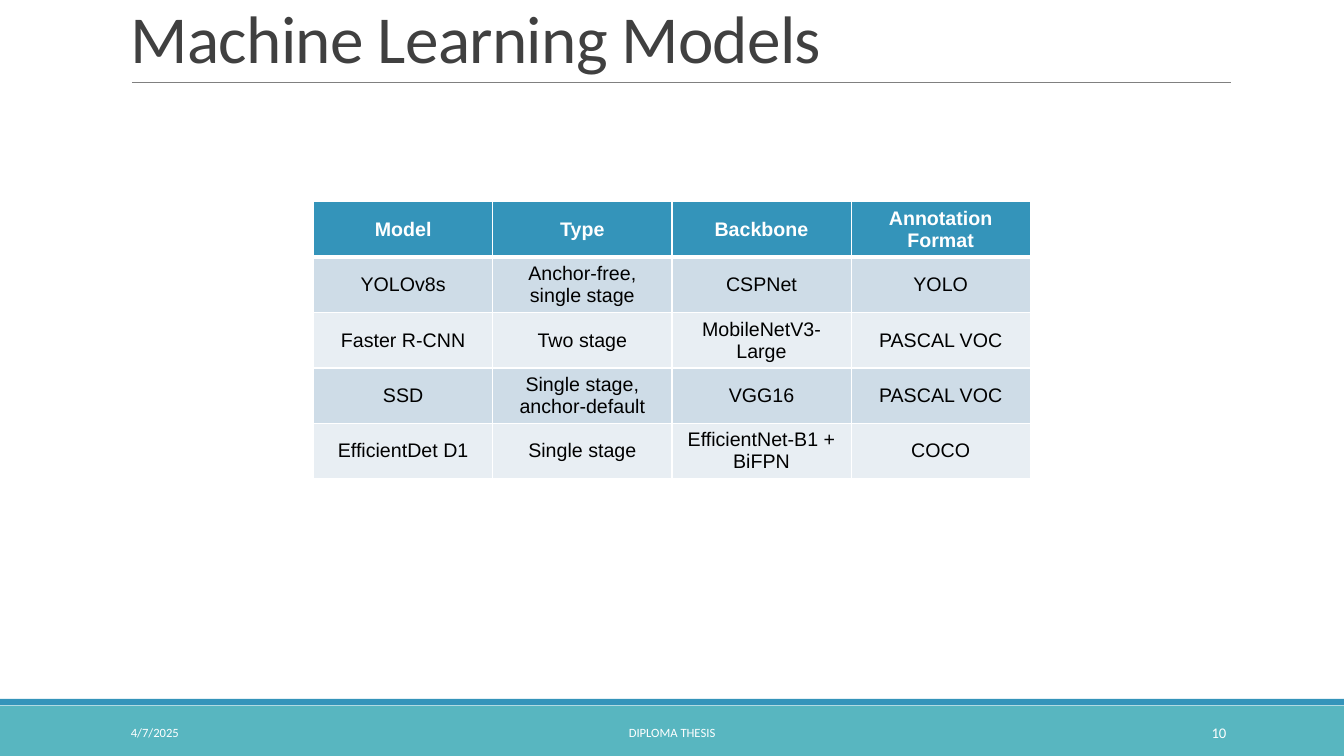
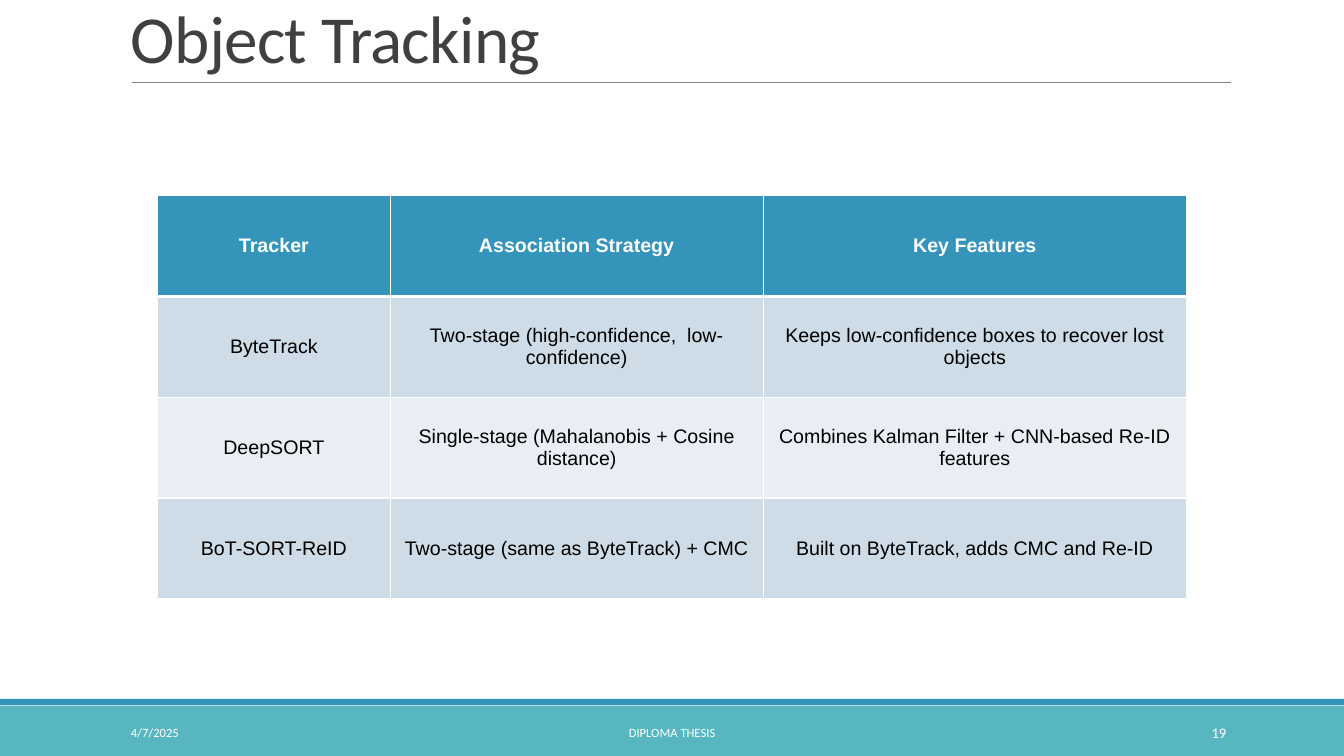
from dataclasses import dataclass

from lxml.etree import SubElement
from pptx import Presentation
from pptx.dml.color import RGBColor
from pptx.enum.shapes import MSO_CONNECTOR, MSO_SHAPE
from pptx.enum.text import MSO_ANCHOR, PP_ALIGN
from pptx.oxml.ns import qn
from pptx.util import Pt


@dataclass(frozen=True)
class Theme:
    accent: str = "3494BA"
    footer: str = "58B6C0"
    rule: str = "808080"
    title: str = "404040"
    white: str = "FFFFFF"
    body: str = "000000"
    bands: tuple = ("CEDCE7", "E8EEF3")
    heading_font: str = "Calibri"
    table_font: str = "Arial"
    title_size: float = 48
    table_size: float = 14
    footer_size: float = 9
    number_size: float = 10.5


theme = Theme()


def write(frame, text, *, size, color, font=theme.heading_font, bold=False,
          align=PP_ALIGN.LEFT, anchor=MSO_ANCHOR.MIDDLE, line_spacing=None, tracking=None):
    frame.word_wrap = True
    frame.vertical_anchor = anchor
    paragraph = frame.paragraphs[0]
    paragraph.alignment = align
    paragraph.line_spacing = line_spacing
    run = paragraph.add_run()
    run.text = text
    run.font.size = Pt(size)
    run.font.name = font
    run.font.bold = bold
    run.font.color.rgb = RGBColor.from_string(color)
    if tracking is not None:
        run.font._element.set("spc", str(int(tracking * 100)))


def border(cell, **widths):
    """Draw white cell edges; the keys are L, R, T and B, in that order."""
    properties = cell._tc.get_or_add_tcPr()
    for side, width in widths.items():
        edge = SubElement(properties, qn(f"a:ln{side}"), w=str(Pt(width)))
        fill = SubElement(edge, qn("a:solidFill"))
        SubElement(fill, qn("a:srgbClr"), val=theme.white)


# Content
pages = [
    {
        "title": "Machine Learning Models", "number": "10",
        "left": 224, "top": 144, "columns": [128] * 4, "row_height": 38.8,
        "rows": [
            ["Model", "Type", "Backbone", "Annotation Format"],
            ["YOLOv8s", "Anchor-free, single stage", "CSPNet", "YOLO"],
            ["Faster R-CNN", "Two stage", "MobileNetV3-Large", "PASCAL VOC"],
            ["SSD", "Single stage, anchor-default", "VGG16", "PASCAL VOC"],
            ["EfficientDet D1", "Single stage", "EfficientNet-B1 + BiFPN", "COCO"],
        ],
    },
    {
        "title": "Object Tracking", "number": "19",
        "left": 112.5, "top": 139.7, "columns": [166.3, 266.4, 302.4], "row_height": 72,
        "rows": [
            ["Tracker", "Association Strategy", "Key Features"],
            ["ByteTrack", "Two-stage (high-confidence,  low-confidence)",
             "Keeps low-confidence boxes to recover lost objects"],
            ["DeepSORT", "Single-stage (Mahalanobis + Cosine distance)",
             "Combines Kalman Filter + CNN-based Re-ID features"],
            ["BoT-SORT-ReID", "Two-stage (same as ByteTrack) + CMC",
             "Built on ByteTrack, adds CMC and Re-ID"],
        ],
    },
]

deck = Presentation()
deck.slide_width, deck.slide_height = Pt(960), Pt(540)

for page in pages:
    slide = deck.slides.add_slide(deck.slide_layouts[6])
    shapes = slide.shapes

    # Footer bands
    for top, height, color in [(504, 36, theme.footer), (499.2, 4.6, theme.accent)]:
        band = shapes.add_shape(MSO_SHAPE.RECTANGLE, 0, Pt(top), deck.slide_width, Pt(height))
        band.shadow.inherit = False
        band.fill.solid()
        band.fill.fore_color.rgb = RGBColor.from_string(color)
        band.line.fill.background()

    # Title and its rule
    title_rule = shapes.add_connector(MSO_CONNECTOR.STRAIGHT, Pt(94.2), Pt(58.6), Pt(879), Pt(58.6))
    title_rule.line.color.rgb = RGBColor.from_string(theme.rule)
    title_rule.line.width = Pt(0.5)
    SubElement(title_rule._element.spPr, qn("a:effectLst"))
    title = shapes.add_textbox(Pt(86.4), Pt(-55.6), Pt(792), Pt(114.4))
    write(title.text_frame, page["title"], size=theme.title_size, color=theme.title,
          anchor=MSO_ANCHOR.BOTTOM, line_spacing=0.85, tracking=-0.5)

    # Footer texts
    for text, left, width, size, align in [
        ("4/7/2025", 86.4, 194.4, theme.footer_size, PP_ALIGN.LEFT),
        ("DIPLOMA THESIS", 290.2, 379.6, theme.footer_size, PP_ALIGN.CENTER),
        (page["number"], 779.8, 103.2, theme.number_size, PP_ALIGN.RIGHT),
    ]:
        footer = shapes.add_textbox(Pt(left), Pt(508.6), Pt(width), Pt(28.8))
        write(footer.text_frame, text, size=size, color=theme.white, align=align)

    # Table
    rows, columns, row_height = page["rows"], page["columns"], page["row_height"]
    table = shapes.add_table(len(rows), len(columns), Pt(page["left"]), Pt(page["top"]),
                             Pt(sum(columns)), Pt(row_height * len(rows))).table
    for column, width in zip(table.columns, columns):
        column.width = Pt(width)
    for r, row in enumerate(rows):
        table.rows[r].height = Pt(row_height)
        header = r == 0
        for c, text in enumerate(row):
            cell = table.cell(r, c)
            cell.margin_top = cell.margin_bottom = Pt(3)
            cell.vertical_anchor = MSO_ANCHOR.MIDDLE
            border(cell, L=1, R=1, T=3 if r == 1 else 1, B=3 if header else 1)
            cell.fill.solid()
            cell.fill.fore_color.rgb = RGBColor.from_string(
                theme.accent if header else theme.bands[(r - 1) % 2])
            write(cell.text_frame, text, size=theme.table_size, font=theme.table_font,
                  color=theme.white if header else theme.body, bold=header,
                  align=PP_ALIGN.CENTER)

deck.save("out.pptx")
